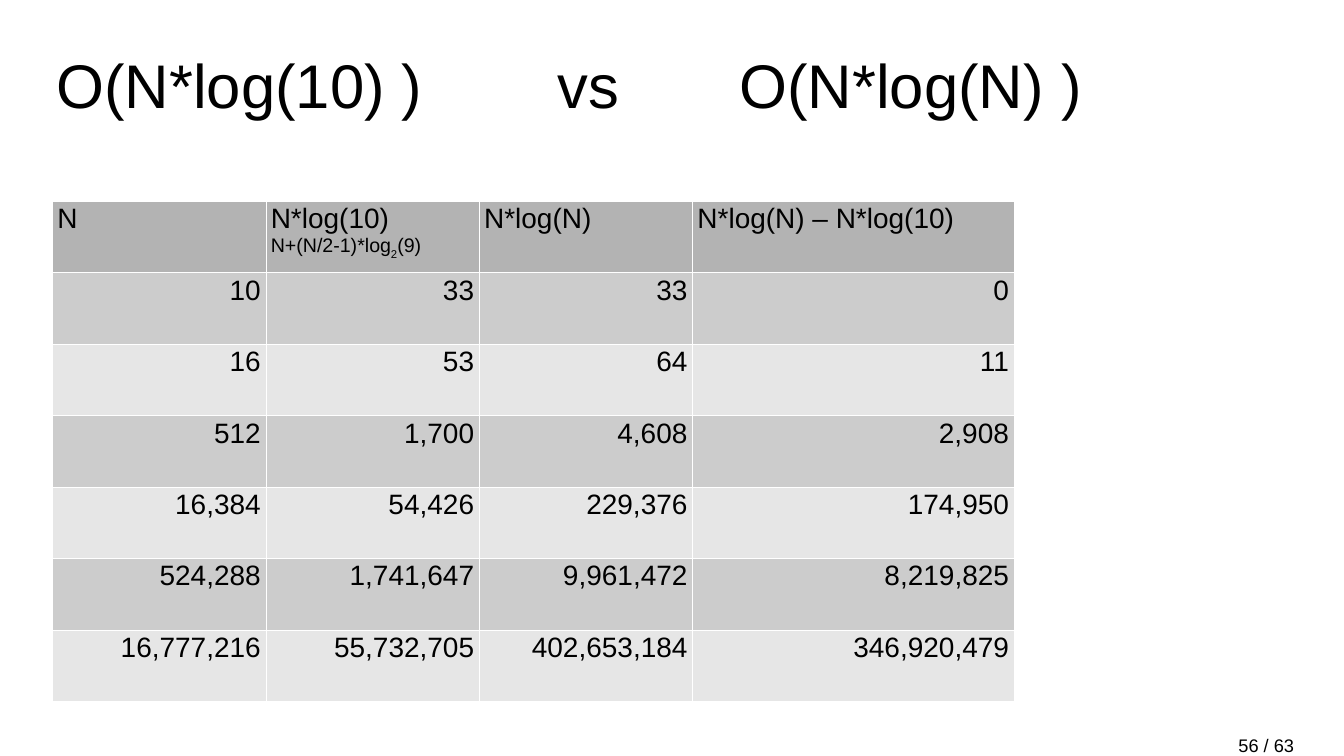
"""Builds the slide comparing N*log(10) with N*log(N) in a table."""
from math import log2

from lxml.etree import SubElement
from pptx import Presentation
from pptx.dml.color import RGBColor as Rgb
from pptx.enum.text import MSO_ANCHOR as Anchor, MSO_AUTO_SIZE as AutoSize, PP_ALIGN as Align
from pptx.oxml.ns import qn
from pptx.util import Cm, Pt

COLORS = {"text": "000000", "border": "FFFFFF", "header": "B3B3B3",
          "odd": "CCCCCC", "even": "E6E6E6"}


class Deck:
    font = "Arial"
    title_size, cell_size, note_size, page_size = 88, 40, 28, 26
    border_width = Pt(0.06)

    def __init__(self, width, height):
        self.prs = Presentation()
        self.prs.slide_width, self.prs.slide_height = Cm(width), Cm(height)
        self.slide = self.prs.slides.add_slide(self.prs.slide_layouts[5])

    def format(self, paragraph, size, align=Align.LEFT):
        paragraph.alignment = align
        for run in paragraph.runs:
            run.font.name, run.font.size = self.font, Pt(size)
            run.font.color.rgb = Rgb.from_string(COLORS["text"])

    def title(self, parts, left, top, width, height, stops):
        heading = self.slide.shapes.title
        heading.left, heading.top, heading.width, heading.height = map(Cm, (left, top, width, height))
        frame = heading.text_frame
        frame.text = "\t".join(parts)
        frame.auto_size, frame.vertical_anchor = AutoSize.NONE, Anchor.MIDDLE
        frame.margin_left = 0
        line = frame.paragraphs[0]
        self.format(line, self.title_size)
        tabs = SubElement(line._p.get_or_add_pPr(), qn("a:tabLst"))
        for stop in stops:
            SubElement(tabs, qn("a:tab"), pos=str(Cm(stop)), algn="l")

    def page_number(self, text, left, top, width, height):
        frame = self.slide.shapes.add_textbox(*map(Cm, (left, top, width, height))).text_frame
        frame.word_wrap = True
        frame.text = text
        self.format(frame.paragraphs[0], self.page_size)

    def cell(self, cell, text, color, align):
        properties = cell._tc.get_or_add_tcPr()
        for side in ("lnL", "lnR", "lnT", "lnB"):
            line = SubElement(properties, qn(f"a:{side}"), w=str(self.border_width))
            fill = SubElement(line, qn("a:solidFill"))
            SubElement(fill, qn("a:srgbClr"), val=COLORS["border"])
        cell.fill.solid()
        cell.fill.fore_color.rgb = Rgb.from_string(COLORS[color])
        cell.text = text
        self.format(cell.text_frame.paragraphs[0], self.cell_size, align)

    def table(self, rows, left, top, widths, row_height):
        grid = self.slide.shapes.add_table(
            len(rows), len(widths), Cm(left), Cm(top),
            Cm(sum(widths)), Cm(row_height * len(rows))).table
        grid.first_row = grid.horz_banding = False
        for column, width in zip(grid.columns, widths):
            column.width = Cm(width)
        for r, row in enumerate(rows):
            color = "header" if r == 0 else "odd" if r % 2 else "even"
            for c, text in enumerate(row):
                self.cell(grid.cell(r, c), text, color, Align.RIGHT if r else Align.LEFT)
        return grid

    def formula(self, cell, before, subscript, after):
        note = cell.text_frame.add_paragraph()
        for text in (before, subscript, after):
            note.add_run().text = text
        self.format(note, self.note_size)
        note.runs[1]._r.get_or_add_rPr().set("baseline", "-33000")


def costs(n):
    fixed, growing = int(n * log2(10)), int(n * log2(n))
    return [f"{value:,}" for value in (n, fixed, growing, growing - fixed)]


deck = Deck(67.72, 38.1)
deck.title(["O(N*log(10) )", "vs", "O(N*log(N) )"], 2.84, 2.13, 62.03, 4.22, stops=(25.27, 34.42))
deck.page_number("56 / 63", 62.15, 36.88, 5.5, 1.2)

headings = ["N", "N*log(10)", "N*log(N)", "N*log(N) – N*log(10)"]
sizes = [10, 2**4, 2**9, 2**14, 2**19, 2**24]
comparison = deck.table([headings] + [costs(n) for n in sizes], 2.64, 10.13,
                        widths=(10.75, 10.75, 10.75, 16.2), row_height=3.6)
deck.formula(comparison.cell(0, 1), "N+(N/2-1)*log", "2", "(9)")

deck.prs.save("out.pptx")
